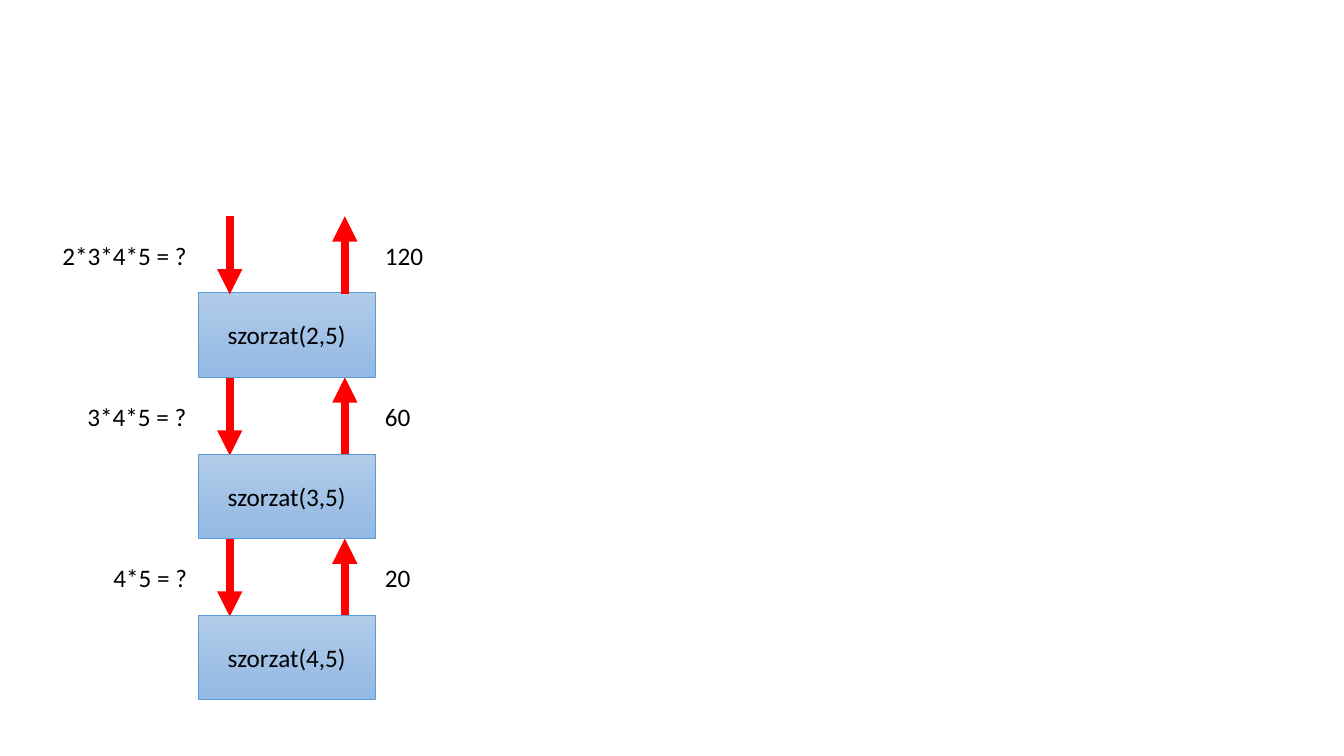
from dataclasses import dataclass

from lxml.etree import SubElement
from pptx import Presentation
from pptx.dml.color import RGBColor
from pptx.enum.shapes import MSO_CONNECTOR, MSO_SHAPE
from pptx.enum.text import MSO_ANCHOR, MSO_AUTO_SIZE, PP_ALIGN
from pptx.oxml.ns import qn
from pptx.slide import Slide
from pptx.text.text import TextFrame
from pptx.util import Cm, Pt

LEFT, WIDTH, HEIGHT = 5.0, 4.45, 2.12
TOP, PITCH = 7.38, 4.06
DOWN, UP = 5.79, 8.69
RISE, REACH = 1.93, 1.97
LABEL = 1.46


@dataclass
class Step:
    call: str
    task: str
    wide: float
    result: str
    span: float
    top: float


def color(code: str) -> RGBColor:
    return RGBColor.from_string(code)


def write(frame: TextFrame, text: str, align: PP_ALIGN) -> None:
    frame.text = text
    line = frame.paragraphs[0]
    line.alignment = align
    font = line.runs[0].font
    font.name = "Calibri"
    font.size = Pt(18)
    font.color.rgb = color("000000")


def arrow(slide: Slide, x: float, start: float, end: float) -> None:
    link = slide.shapes.add_connector(
        MSO_CONNECTOR.STRAIGHT, Cm(x), Cm(start), Cm(x), Cm(end))
    link.line.color.rgb = color("FF0000")
    link.line.width = Pt(6)
    head = SubElement(link.line._get_or_add_ln(), qn("a:tailEnd"))
    head.set("type", "triangle")
    SubElement(link._element.spPr, qn("a:effectLst"))


def pair(slide: Slide, step: Step) -> None:
    start = step.top - RISE
    end = start + REACH
    arrow(slide, DOWN, start, end)
    arrow(slide, UP, end, start)


def box(slide: Slide, step: Step) -> None:
    shape = slide.shapes.add_shape(
        MSO_SHAPE.RECTANGLE, Cm(LEFT), Cm(step.top), Cm(WIDTH), Cm(HEIGHT))
    shape.shadow.inherit = False
    shape.fill.gradient()
    shape.fill.gradient_angle = 270
    for stop, code in zip(shape.fill.gradient_stops, ("B1CBE9", "93B9E4")):
        stop.color.rgb = color(code)
    shape.line.color.rgb = color("5B9BD5")
    shape.line.width = Pt(0.5)
    shape.text_frame.vertical_anchor = MSO_ANCHOR.MIDDLE
    write(shape.text_frame, step.call, PP_ALIGN.CENTER)


def label(slide: Slide, text: str, x: float, y: float, width: float) -> None:
    frame = slide.shapes.add_textbox(
        Cm(x), Cm(y), Cm(width), Cm(1.03)).text_frame
    frame.word_wrap = False
    frame.auto_size = MSO_AUTO_SIZE.SHAPE_TO_FIT_TEXT
    write(frame, text, PP_ALIGN.LEFT)


def main() -> None:
    deck = Presentation()
    deck.slide_width, deck.slide_height = Cm(33.87), Cm(19.05)
    slide = deck.slides.add_slide(deck.slide_layouts[6])
    rows = (
        ("szorzat(2,5)", "2*3*4*5 = ?", 3.68, "120", 1.5),
        ("szorzat(3,5)", "3*4*5 = ?", 3.05, "60", 1.17),
        ("szorzat(4,5)", "4*5 = ?", 2.39, "20", 1.17),
    )
    steps = [Step(*row, TOP + i * PITCH) for i, row in enumerate(rows)]
    first, *rest = steps
    for step in rest:
        pair(slide, step)
    for step in steps:
        box(slide, step)
        y = step.top - LABEL
        label(slide, step.task, LEFT - step.wide, y, step.wide)
        label(slide, step.result, LEFT + WIDTH, y, step.span)
    pair(slide, first)
    deck.save("out.pptx")


if __name__ == "__main__":
    main()
